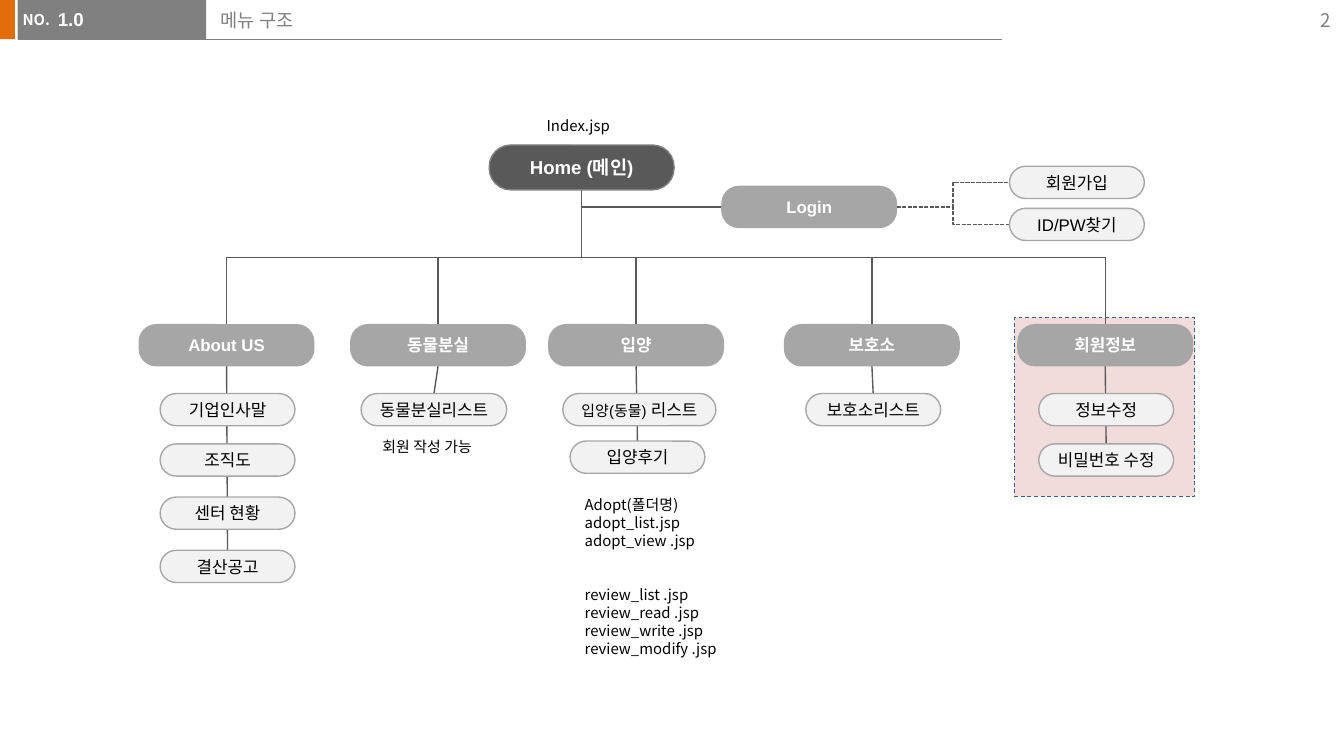
from lxml import etree
from pptx import Presentation
from pptx.dml.color import RGBColor
from pptx.enum.dml import MSO_LINE
from pptx.enum.shapes import MSO_CONNECTOR, MSO_SHAPE
from pptx.enum.text import MSO_ANCHOR, MSO_AUTO_SIZE, PP_ALIGN
from pptx.oxml.ns import qn
from pptx.util import Pt

RECT, ROUNDED = MSO_SHAPE.RECTANGLE, MSO_SHAPE.ROUNDED_RECTANGLE
STRAIGHT, ELBOW = MSO_CONNECTOR.STRAIGHT, MSO_CONNECTOR.ELBOW
LEFT, CENTER, RIGHT = PP_ALIGN.LEFT, PP_ALIGN.CENTER, PP_ALIGN.RIGHT
TOP, MIDDLE = MSO_ANCHOR.TOP, MSO_ANCHOR.MIDDLE
DASH, SHORT_DASH = MSO_LINE.DASH, MSO_LINE.SQUARE_DOT

ORANGE = RGBColor(0xE4, 0x6C, 0x0A)
GRAY = RGBColor(0x80, 0x80, 0x80)
DARK = RGBColor(0x59, 0x59, 0x59)
MID = RGBColor(0xA6, 0xA6, 0xA6)
PALE = RGBColor(0xF2, 0xF2, 0xF2)
PINK = RGBColor(0xF2, 0xDC, 0xDB)
BLUE = RGBColor(0x3A, 0x5F, 0x8C)
WHITE = RGBColor(0xFF, 0xFF, 0xFF)
BLACK = RGBColor(0, 0, 0)

LATIN, KOREAN = "Arial", "Noto Sans CJK KR"
NODE_W, NODE_H, LEAF_W, LEAF_H = 93.5, 22, 72.25, 17.25
LINE_PITCH = 9.65

BRANCHES = [
    (121.4, "About US", [("기업인사말", 0, LEAF_W, 0.5), ("조직도", 27, LEAF_W, 0.5),
                         ("센터 현황", 55.5, LEAF_W, 0.5), ("결산공고", 84, LEAF_W, 0.5)]),
    (234.7, "동물분실", [("동물분실리스트", 0, 78, -2.2)]),
    (340.8, "입양", [((("입양(동물) ", 8), ("리스트", 9)), 0, 82, 1.7),
                   ("입양후기", 25.5, LEAF_W, 0.7)]),
    (467.1, "보호소", [("보호소리스트", 0, LEAF_W, 0.7)]),
    (592.1, "회원정보", [("정보수정", 0, LEAF_W, 0.5), ("비밀번호 수정", 27, LEAF_W, 0.5)]),
]


def write_text(shape, *lines, font=KOREAN, size=8, color=BLACK, bold=False, align=LEFT,
               anchor=TOP, insets=(7.2, 3.6, 7.2, 3.6), wrap=True, before=0, pitch=None):
    frame = shape.text_frame
    frame.auto_size = MSO_AUTO_SIZE.NONE
    frame.word_wrap, frame.vertical_anchor = wrap, anchor
    (frame.margin_left, frame.margin_top,
     frame.margin_right, frame.margin_bottom) = map(Pt, insets)
    for index, line in enumerate(lines):
        paragraph = frame.add_paragraph() if index else frame.paragraphs[0]
        paragraph.alignment, paragraph.space_before = align, Pt(before)
        if pitch:
            paragraph.line_spacing = Pt(pitch)
        for words, run_size in [(line, size)] if isinstance(line, str) else line:
            run = paragraph.add_run()
            run.text = words
            run.font.name, run.font.size = font, Pt(run_size)
            run.font.bold, run.font.color.rgb = bold, color
            east_asian = etree.SubElement(run.font._element, qn("a:ea"))
            east_asian.set("typeface", KOREAN)
    return frame


def add_box(slide, kind, x, y, w, h, fill, line=None, weight=0.75, dash=None):
    box = slide.shapes.add_shape(kind, Pt(x), Pt(y), Pt(w), Pt(h))
    box.shadow.inherit = False
    box.fill.solid()
    box.fill.fore_color.rgb = fill
    if line is None:
        box.line.fill.background()
    else:
        box.line.color.rgb, box.line.width = line, Pt(weight)
        if dash:
            box.line.dash_style = dash
    return box


def add_label(slide, x, y, w, h, *lines, **style):
    label = slide.shapes.add_textbox(Pt(x), Pt(y), Pt(w), Pt(h))
    return write_text(label, *lines, **style)


def add_pill(slide, x, y, w, h, label, fill, line, roundness, **style):
    pill = add_box(slide, ROUNDED, x, y, w, h, fill, line)
    pill.adjustments[0] = roundness
    write_text(pill, label, font=LATIN, align=CENTER, anchor=MIDDLE,
               insets=(1.4,) * 4, **style)


def add_node(slide, x, y, label):
    add_pill(slide, x, y, NODE_W, NODE_H, label, MID, MID, 0.417,
             size=9, color=WHITE, bold=True)


def add_leaf(slide, x, y, w, label):
    add_pill(slide, x, y, w, LEAF_H, label, PALE, MID, 0.5, size=9)


def add_link(slide, kind, x1, y1, x2, y2, color=DARK, weight=0.75, dash=None):
    link = slide.shapes.add_connector(kind, Pt(x1), Pt(y1), Pt(x2), Pt(y2))
    link.line.color.rgb, link.line.width = color, Pt(weight)
    if dash:
        link.line.dash_style = dash
    etree.SubElement(link._element.spPr, qn("a:effectLst"))
    return link


def add_drop(slide, x1, y1, x2, y2, preset="bentConnector3"):
    mid_x, mid_y = (x1 + x2) / 2, (y1 + y2) / 2
    side = 1 if x2 > x1 else -1
    half_w, half_h = side * (y2 - y1) / 2, abs(x2 - x1) / 2
    drop = add_link(slide, ELBOW, mid_x + half_w, mid_y - half_h,
                    mid_x - half_w, mid_y + half_h)
    properties = drop._element.spPr
    properties.find(qn("a:xfrm")).set("rot", "16200000" if side > 0 else "5400000")
    properties.find(qn("a:prstGeom")).set("prst", preset)


def place_placeholder(slide, placeholder, x, y, w, h):
    placeholder.left, placeholder.top = Pt(x), Pt(y)
    placeholder.width, placeholder.height = Pt(w), Pt(h)
    slide.shapes._spTree.append(placeholder._element)


def build_header(slide, x, y, w, h):
    title, number = slide.placeholders[0], slide.placeholders[1]
    add_box(slide, RECT, x - 0.5, y, 8.5, h, ORANGE)
    add_link(slide, STRAIGHT, x + 9.5, y + h, x + 537, y + h, GRAY, 0.5)
    add_box(slide, RECT, x + 9.5, y, 101, h, GRAY)
    add_label(slide, x + 5, y + 2.2, 29.5, 17, "NO.", color=WHITE, bold=True, wrap=False)
    add_label(slide, x + w - 43.2, y, 43.2, 21.6, "2", size=10, color=GRAY,
              align=RIGHT, anchor=MIDDLE)
    place_placeholder(slide, title, x + 111, y + 1.4, 425.5, 23)
    write_text(title, "메뉴 구조", size=10, color=GRAY)
    place_placeholder(slide, number, x + 31, y + 0.7, 79, 22.3)
    frame = write_text(number, "1.0", font=LATIN, size=10, color=WHITE, bold=True,
                       insets=(0, 3.6, 0, 3.6), before=2)
    paragraph = frame.paragraphs[0]._p.get_or_add_pPr()
    paragraph.set("marL", "0")
    paragraph.set("indent", "0")
    etree.SubElement(paragraph, qn("a:buNone"))


def build_login(slide, x, y):
    add_node(slide, x, y, "Login")
    start_x, start_y = x + NODE_W, y + NODE_H / 2
    for label, top in (("회원가입", y - 10.8), ("ID/PW찾기", y + 11.7)):
        add_link(slide, ELBOW, start_x, start_y, x + 154, top + LEAF_H / 2, dash=SHORT_DASH)
        add_leaf(slide, x + 154, top, LEAF_W, label)


def build_branch(slide, center, y, label, leaves):
    leaf_y = y + 36.8
    last_label, last_top, last_w, last_shift = leaves[-1]
    add_link(slide, STRAIGHT, center, y + NODE_H, center + last_shift, leaf_y + last_top)
    add_node(slide, center - NODE_W / 2, y, label)
    for leaf, top, w, shift in leaves:
        add_leaf(slide, center + shift - w / 2, leaf_y + top, w, leaf)


def build_site_map(slide, x, y, w, h):
    home_x, home_bottom, branch_y = x + 237.3, y + 42.7, y + 115
    add_box(slide, RECT, x + w - 96.5, branch_y - 4, 96.5, 96, PINK, BLUE, 0.5, DASH)
    for center, label, leaves in BRANCHES:
        add_drop(slide, home_x, home_bottom, center, branch_y)
        build_branch(slide, center, branch_y, label, leaves)
    login_x, login_y = x + 312.5, y + 40.9
    add_drop(slide, home_x, home_bottom, login_x, login_y + NODE_H / 2, "bentConnector2")
    build_login(slide, login_x, login_y)
    add_label(slide, home_x - 48.3, y, 93, 17, "Index.jsp", align=CENTER, pitch=LINE_PITCH)
    add_pill(slide, home_x - 49.5, y + 18.7, 99, 24, "Home (메인)", DARK, GRAY, 0.479,
             size=10, color=WHITE, bold=True)
    add_label(slide, x + 123.5, y + 172, 93, 17, "회원 작성 가능", pitch=LINE_PITCH)
    files = add_label(slide, x + 231.8, y + 203, 93, h - 203,
                      "Adopt(폴더명)", "adopt_list.jsp", "adopt_view .jsp",
                      "review_list .jsp", "review_read .jsp", "review_write .jsp",
                      "review_modify .jsp", pitch=LINE_PITCH)
    files.paragraphs[3].space_before = Pt(2 * LINE_PITCH)


def main():
    deck = Presentation()
    deck.slide_width, deck.slide_height = Pt(720), Pt(405)
    slide = deck.slides.add_slide(deck.slide_layouts[1])
    build_header(slide, 0, 0, 720, 21)
    build_site_map(slide, 74.3, 59, 565.7, 297)
    deck.save("out.pptx")


if __name__ == "__main__":
    main()
